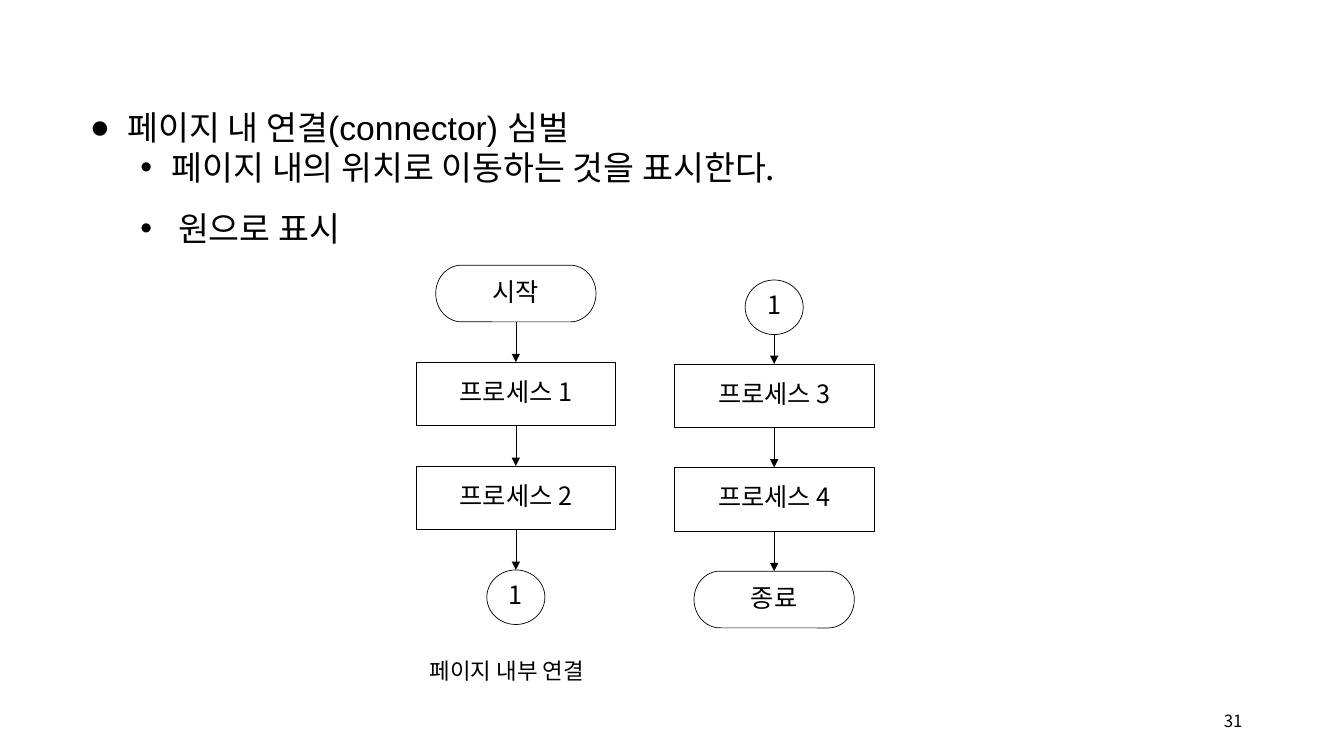
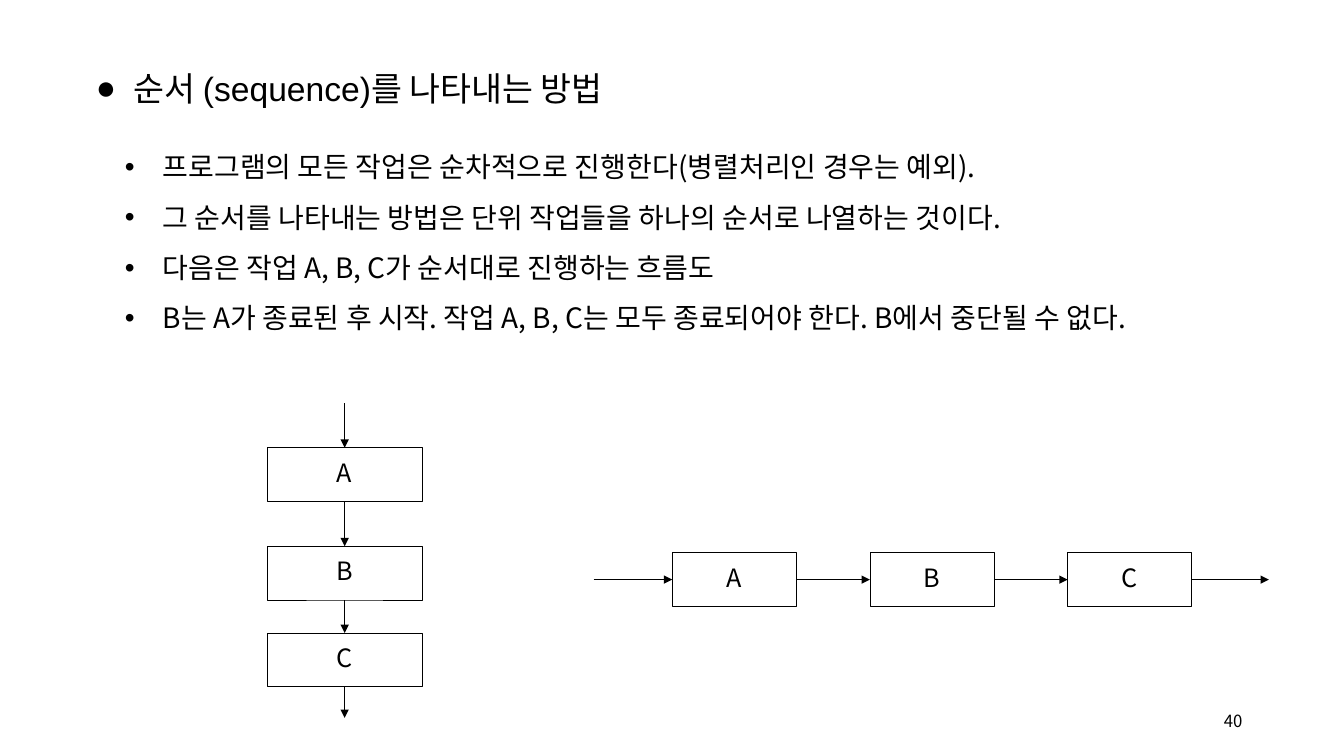
import pptx
import pptx.util
import pptx.dml.color
import pptx.enum.shapes
import pptx.enum.text
import pptx.oxml.ns
from lxml import etree

Pt = pptx.util.Pt
Geom = pptx.enum.shapes.MSO_SHAPE
Align = pptx.enum.text.PP_ALIGN
Anchor = pptx.enum.text.MSO_ANCHOR
qn = pptx.oxml.ns.qn

ARIAL = "Arial"
NOTO = "Noto Sans CJK KR"
INK = "000000"
TALL = 1.5


def tint(code):
    return pptx.dml.color.RGBColor.from_string(code)


class Deck:
    """Draws flow chart slides in one shared style."""

    def __init__(self):
        self.prs = pptx.Presentation()
        self.prs.slide_width, self.prs.slide_height = Pt(960), Pt(540)
        self.slide = None

    def start(self, number):
        self.slide = self.prs.slides.add_slide(self.prs.slide_layouts[1])
        self.label(859.5, 500.5, 35, 29, number, 12, NOTO,
                   align=Align.RIGHT, anchor=Anchor.MIDDLE)

    def style(self, para, text, size, face, align=Align.LEFT, space=1):
        para.text = text
        para.alignment = align
        para.line_spacing = space
        para.space_before = Pt(0)
        para.font.size = Pt(size)
        para.font.name = face
        para.font.color.rgb = tint(INK)

    def bullet(self, para, mark, left, hang):
        props = para._p.get_or_add_pPr()
        props.set("marL", str(Pt(left)))
        props.set("indent", str(-Pt(hang)))
        etree.SubElement(props, qn("a:buFont")).set("typeface", ARIAL)
        etree.SubElement(props, qn("a:buChar")).set("char", mark)

    def label(self, x, y, w, h, text, size, face, align=Align.LEFT,
              anchor=Anchor.TOP, space=1):
        box = self.slide.shapes.add_textbox(Pt(x), Pt(y), Pt(w), Pt(h))
        frame = box.text_frame
        frame.word_wrap = True
        frame.vertical_anchor = anchor
        self.style(frame.paragraphs[0], text, size, face, align, space)

    def fill(self, holder, area, items, size):
        holder.left, holder.top, holder.width, holder.height = map(Pt, area)
        frame = holder.text_frame
        frame.word_wrap = True
        frame.auto_size = pptx.enum.text.MSO_AUTO_SIZE.NONE
        frame.vertical_anchor = Anchor.TOP
        for i, (text, mark, level, left, hang, face, space) in enumerate(items):
            para = frame.add_paragraph() if i else frame.paragraphs[0]
            para.level = level
            self.bullet(para, mark, left, hang)
            self.style(para, text, size, face, space=space)

    def title(self, area, item):
        self.fill(self.slide.shapes.title, area, [item], 24)

    def no_title(self):
        mark = self.slide.shapes.title._element
        mark.getparent().remove(mark)

    def body(self, area, items, size):
        self.fill(self.slide.placeholders[1], area, items, size)

    def node(self, geom, x, y, w, h, text):
        shape = self.slide.shapes.add_shape(geom, Pt(x), Pt(y), Pt(w), Pt(h))
        shape.shadow.inherit = False
        shape.fill.background()
        shape.line.color.rgb = tint(INK)
        shape.line.width = Pt(0.5)
        frame = shape.text_frame
        frame.margin_left = frame.margin_right = frame.margin_top = Pt(0)
        frame.margin_bottom = Pt(3.6)
        frame.vertical_anchor = Anchor.MIDDLE
        self.style(frame.paragraphs[0], text, 18, NOTO, Align.CENTER)

    def arrow(self, x1, y1, x2, y2):
        line = self.slide.shapes.add_connector(
            pptx.enum.shapes.MSO_CONNECTOR.STRAIGHT,
            Pt(x1), Pt(y1), Pt(x2), Pt(y2))
        line.line.color.rgb = tint(INK)
        line.line.width = Pt(0.5)
        tail = etree.SubElement(line.line._get_or_add_ln(), qn("a:tailEnd"))
        tail.set("type", "triangle")
        etree.SubElement(line._element.spPr, qn("a:effectLst"))

    def flow(self, x, y, steps, down=True):
        """Chains nodes, given as (kind, text), and arrows, given as lengths."""
        for step in steps:
            if isinstance(step, tuple):
                (geom, w, h), text = step
                left, top = (x - w / 2, y) if down else (x, y - h / 2)
                self.node(geom, left, top, w, h, text)
                size = h if down else w
            else:
                size = step
                self.arrow(x, y, x + (0 if down else size),
                           y + (size if down else 0))
            x, y = (x, y + size) if down else (x + size, y)


def link_slide(deck):
    cap = (Geom.FLOWCHART_TERMINATOR, 114.5, 40.5)
    task = (Geom.RECTANGLE, 142.5, 45.4)
    dot = (Geom.OVAL, 41.5, 39)
    deck.start("31")
    deck.no_title()
    deck.body((57, 58.3, 773, 167), [
        ("페이지 내 연결(connector) 심벌", "●", 0, 27, 27, ARIAL, TALL),
        ("페이지 내의 위치로 이동하는 것을 표시한다.", "•", 1, 58.5, 22.5, NOTO, 1),
        ("원으로 표시", "•", 1, 63, 27, ARIAL, TALL),
    ], 24)
    deck.label(300, 456.5, 137, 36, "페이지 내부 연결", 16, ARIAL, space=TALL)
    deck.flow(368.5, 189.4, [(cap, "시작"), 28.8, (task, "프로세스 1"), 28.8,
                             (task, "프로세스 2"), 28.8, (dot, "1")])
    deck.flow(553, 200, [(dot, "1"), 21, (task, "프로세스 3"), 28.6,
                         (task, "프로세스 4"), 28.6, (cap, "종료")])


def order_slide(deck):
    wide = (Geom.RECTANGLE, 110.5, 38.4)
    slim = (Geom.RECTANGLE, 88.6, 38.4)
    lines = [
        "프로그램의 모든 작업은 순차적으로 진행한다(병렬처리인 경우는 예외).",
        "그 순서를 나타내는 방법은 단위 작업들을 하나의 순서로 나열하는 것이다.",
        "다음은 작업 A, B, C가 순서대로 진행하는 흐름도",
        "B는 A가 종료된 후 시작. 작업 A, B, C는 모두 종료되어야 한다. "
        "B에서 중단될 수 없다.",
    ]
    deck.start("40")
    deck.title((25.2, 30.2, 480, 51),
               ("순서 (sequence)를 나타내는 방법", "●", 0, 63, 27, ARIAL, TALL))
    deck.body((82, 91.4, 812, 153),
              [(line, "•", 0, 27, 27, NOTO, TALL) for line in lines], 20)
    deck.flow(246.2, 288, [31.8, (wide, "A"), 32, (wide, "B"), 23.6,
                           (wide, "C"), 22.2])
    deck.flow(424, 414, [56.2, (slim, "A"), 52.6, (slim, "B"), 52.6,
                         (slim, "C"), 55.2], down=False)


def main():
    deck = Deck()
    link_slide(deck)
    order_slide(deck)
    deck.prs.save("out.pptx")


if __name__ == "__main__":
    main()
